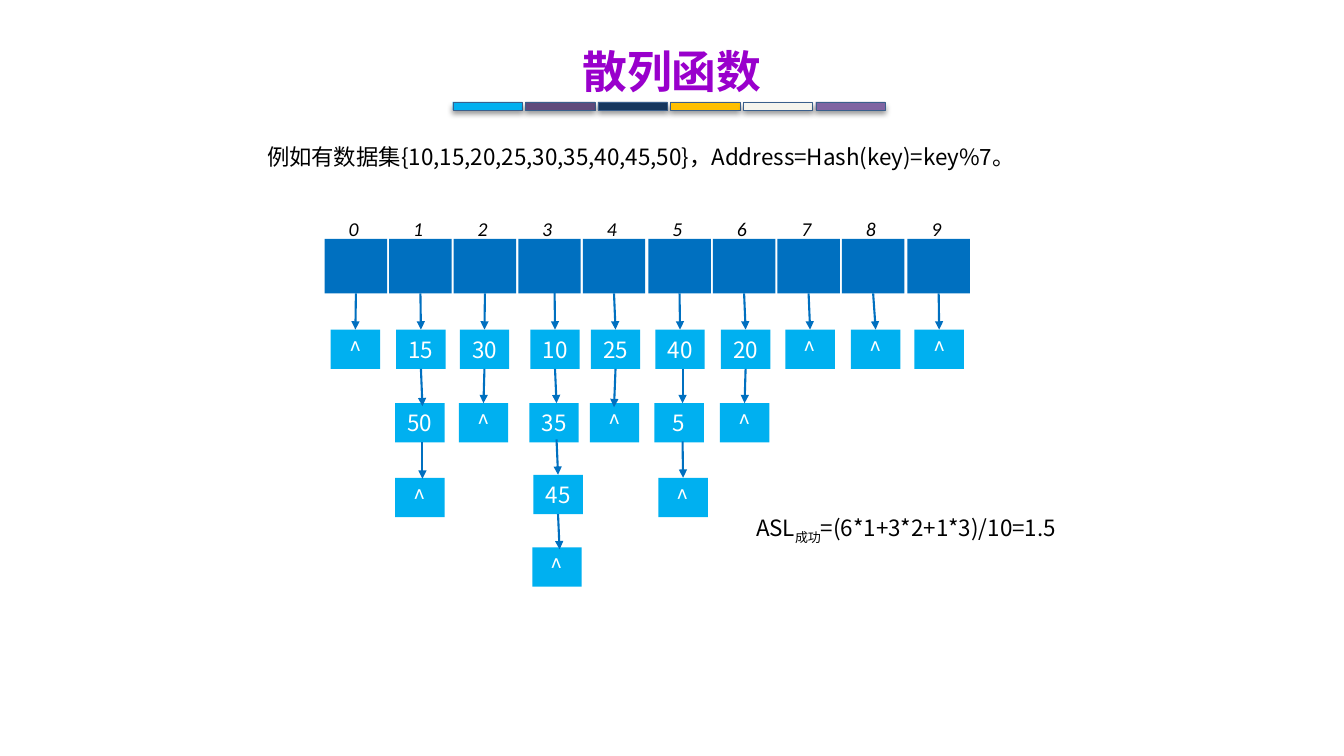
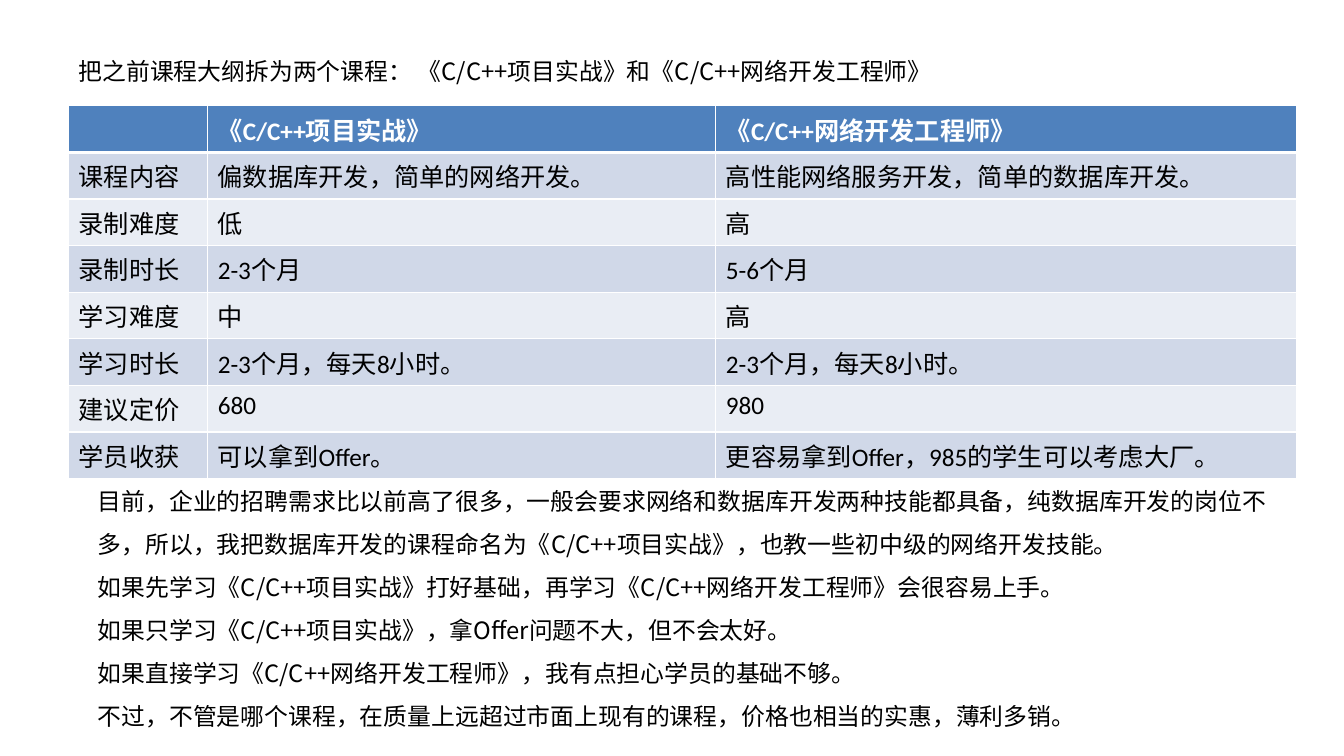
from dataclasses import dataclass
from typing import NamedTuple

from lxml import etree
from pptx import Presentation
from pptx.dml.color import RGBColor
from pptx.enum.shapes import MSO_CONNECTOR, MSO_SHAPE
from pptx.enum.text import MSO_ANCHOR, MSO_AUTO_SIZE, PP_ALIGN
from pptx.oxml.ns import qn
from pptx.shapes.autoshape import Shape
from pptx.slide import Slide
from pptx.table import _Cell
from pptx.text.text import TextFrame
from pptx.util import Emu, Pt

RECT = MSO_SHAPE.RECTANGLE
STRAIGHT = MSO_CONNECTOR.STRAIGHT
LEFT, CENTER = PP_ALIGN.LEFT, PP_ALIGN.CENTER
MIDDLE = MSO_ANCHOR.MIDDLE
GROW = MSO_AUTO_SIZE.SHAPE_TO_FIT_TEXT
TOP_SITE, BOTTOM_SITE = 0, 2
EMU_PER_PX = 9144  # 100 px to the inch


@dataclass(frozen=True)
class Theme:
    cjk: str = "Noto Sans CJK SC"
    latin: str = "Calibri"
    black: str = "000000"
    white: str = "FFFFFF"
    title: str = "9900CC"
    bucket: str = "0070C0"
    node: str = "00B0F0"
    bar_line: str = "3A5F8C"
    bars: tuple[str, ...] = ("00B0F0", "604A7B", "17375E", "FFC000", "F5F4ED", "8064A2")
    header: str = "4F81BD"
    bands: tuple[str, str] = ("D0D8E8", "E9EDF4")
    title_pt: int = 32
    table_pt: int = 18
    note_pt: int = 17
    body_pt: int = 16
    index_pt: int = 14


T = Theme()


class Box(NamedTuple):
    x: int
    y: int
    w: int
    h: int


class Style(NamedTuple):
    size: int
    color: str = T.black
    font: str = T.cjk
    bold: bool = False
    italic: bool = False


class Run(NamedTuple):
    text: str
    baseline: int = 0


class Node(NamedTuple):
    """A list entry and the arrow that leads down to it."""
    text: str
    x: int
    y: int
    arrow_x: int
    arrow_top: int
    arrow_end: int


TITLE = Style(T.title_pt, T.title, bold=True)
BODY = Style(T.body_pt)
NOTE = Style(T.note_pt)
INDEX = Style(T.index_pt, font=T.latin, italic=True)
NODE = Style(T.body_pt, T.white)
HEADER = Style(T.table_pt, T.white, T.latin, bold=True)
CELL = Style(T.table_pt, font=T.latin)

NODE_W, NODE_H = 49, 39
JOIN_REACH = 2  # an arrow this close to a side's middle is joined to it
CHAINS = (
    (Node("^", 328, 327, 353, 291, 327),),
    (Node("15", 393, 327, 417, 291, 327), Node("50", 392, 400, 419, 366, 403),
     Node("^", 392, 474, 419, 439, 475)),
    (Node("30", 456, 327, 481, 291, 327), Node("^", 455, 400, 481, 364, 400)),
    (Node("10", 526, 327, 550, 285, 327), Node("35", 525, 400, 552, 364, 400),
     Node("45", 529, 471, 552, 436, 472), Node("^", 528, 543, 555, 509, 545)),
    (Node("25", 586, 327, 610, 291, 327), Node("^", 585, 400, 609, 368, 404)),
    (Node("40", 650, 327, 674, 291, 327), Node("5", 649, 400, 677, 366, 400),
     Node("^", 653, 474, 677, 438, 474)),
    (Node("20", 715, 327, 739, 291, 327), Node("^", 714, 400, 740, 365, 401)),
    (Node("^", 779, 327, 803, 291, 327),),
    (Node("^", 844, 327, 868, 291, 327),),
    (Node("^", 907, 327, 931, 291, 327),),
)

COURSE_COLS = (138, 504, 576)
COURSES = (
    ("", "《C/C++项目实战》", "《C/C++网络开发工程师》"),
    ("课程内容", "偏数据库开发，简单的网络开发。", "高性能网络服务开发，简单的数据库开发。"),
    ("录制难度", "低", "高"),
    ("录制时长", "2-3个月", "5-6个月"),
    ("学习难度", "中", "高"),
    ("学习时长", "2-3个月，每天8小时。", "2-3个月，每天8小时。"),
    ("建议定价", "680", "980"),
    ("学员收获", "可以拿到Offer。", "更容易拿到Offer，985的学生可以考虑大厂。"),
)
ADVICE = (
    "目前，企业的招聘需求比以前高了很多，一般会要求网络和数据库开发两种技能都具备，"
    "纯数据库开发的岗位不多，所以，我把数据库开发的课程命名为《C/C++项目实战》，"
    "也教一些初中级的网络开发技能。",
    "如果先学习《C/C++项目实战》打好基础，再学习《C/C++网络开发工程师》会很容易上手。",
    "如果只学习《C/C++项目实战》，拿Offer问题不大，但不会太好。",
    "如果直接学习《C/C++网络开发工程师》，我有点担心学员的基础不够。",
    "不过，不管是哪个课程，在质量上远超过市面上现有的课程，价格也相当的实惠，薄利多销。",
)


def px(n: int) -> Emu:
    return Emu(n * EMU_PER_PX)


def rgb(color: str) -> RGBColor:
    return RGBColor.from_string(color)


def write(tf: TextFrame, paras: list[list[Run]], style: Style,
          align: PP_ALIGN = LEFT, spacing: float = 1.0) -> None:
    for i, runs in enumerate(paras):
        p = tf.add_paragraph() if i else tf.paragraphs[0]
        p.alignment, p.line_spacing = align, spacing
        for run in runs:
            r = p.add_run()
            r.text = run.text
            f = r.font
            f.name, f.size = style.font, Pt(style.size)
            f.bold, f.italic = style.bold, style.italic
            f.color.rgb = rgb(style.color)
            rpr = r._r.get_or_add_rPr()
            etree.SubElement(rpr, qn("a:ea"), typeface=T.cjk)
            if run.baseline:
                rpr.set("baseline", str(run.baseline * 1000))


def add_text(s: Slide, box: Box, paras: list[list[Run]], style: Style,
             align: PP_ALIGN = LEFT, spacing: float = 1.5, wrap: bool = True) -> None:
    tf = s.shapes.add_textbox(*map(px, box)).text_frame
    tf.word_wrap = wrap
    tf.auto_size = GROW
    write(tf, paras, style, align, spacing)


def add_rect(s: Slide, box: Box, fill: str) -> Shape:
    sp = s.shapes.add_shape(RECT, *map(px, box))
    sp.shadow.inherit = False
    sp.fill.solid()
    sp.fill.fore_color.rgb = rgb(fill)
    sp.line.fill.background()
    return sp


def add_bar(s: Slide, box: Box, fill: str) -> None:
    sp = add_rect(s, box, fill)
    sp.line.color.rgb = rgb(T.bar_line)
    sp.line.width = Pt(0.25)
    effects = sp._element.spPr.find(qn("a:effectLst"))
    shadow = etree.SubElement(effects, qn("a:outerShdw"), blurRad=str(Pt(4)),
                              dist=str(Pt(3)), dir="5400000", rotWithShape="0")
    color = etree.SubElement(shadow, qn("a:srgbClr"), val=T.black)
    etree.SubElement(color, qn("a:alpha"), val="40000")


def near_middle(sp: Shape, x: int, y: int, side_y: int) -> bool:
    reach = px(JOIN_REACH)
    return abs(sp.left + sp.width // 2 - px(x)) <= reach and abs(side_y - px(y)) <= reach


def add_arrow(s: Slide, node: Node, above: Shape, below: Shape) -> None:
    x, top, end = node.arrow_x, node.arrow_top, node.arrow_end
    c = s.shapes.add_connector(STRAIGHT, px(x), px(top), px(x), px(end))
    if near_middle(above, x, top, above.top + above.height):
        c.begin_connect(above, BOTTOM_SITE)
    if near_middle(below, x, end, below.top):
        c.end_connect(below, TOP_SITE)
    c.line.color.rgb = rgb(T.bucket)
    c.line.width = Pt(1.5)
    etree.SubElement(c.line._get_or_add_ln(), qn("a:tailEnd"), type="triangle")
    etree.SubElement(c._element.spPr, qn("a:effectLst"))


def style_cell(cell: _Cell, fill: str, bottom_pt: int) -> None:
    tcpr = cell._tc.get_or_add_tcPr()
    for side, width in (("L", 1), ("R", 1), ("T", 1), ("B", bottom_pt)):
        ln = etree.SubElement(tcpr, qn(f"a:ln{side}"), w=str(Pt(width)))
        solid = etree.SubElement(ln, qn("a:solidFill"))
        etree.SubElement(solid, qn("a:srgbClr"), val=T.white)
    cell.fill.solid()
    cell.fill.fore_color.rgb = rgb(fill)


def add_title(s: Slide, text: str) -> None:
    add_text(s, Box(0, 12, 1333, 91), [[Run(text)]], TITLE, CENTER)
    for i, color in enumerate(T.bars):
        add_bar(s, Box(449 + 72 * i, 101, 69, 8), color)


def hash_slide(s: Slide) -> None:
    add_title(s, "散列函数")
    add_text(s, Box(255, 124, 901, 50),
             [[Run("例如有数据集{10,15,20,25,30,35,40,45,50}，Address=Hash(key)=key%7。")]], BODY)

    # Buckets, each with its index and the list hanging below
    for i, chain in enumerate(CHAINS):
        x = 322 + 578 * i // 9
        above = add_rect(s, Box(x, 237, 62, 54), T.bucket)
        add_text(s, Box(x + 14, 210, 30, 34), [[Run(str(i))]], INDEX, spacing=1.0, wrap=False)
        for node in chain:
            below = add_rect(s, Box(node.x, node.y, NODE_W, NODE_H), T.node)
            below.text_frame.vertical_anchor = MIDDLE
            write(below.text_frame, [[Run(node.text)]], NODE, CENTER)
            add_arrow(s, node, above, below)
            above = below

    # Average search length
    add_text(s, Box(740, 490, 555, 50),
             [[Run("ASL"), Run("成功", -25), Run("=(6*1+3*2+1*3)/10=1.5")]], BODY)


def course_slide(s: Slide) -> None:
    # Comparison table
    table = s.shapes.add_table(len(COURSES), len(COURSE_COLS),
                               *map(px, Box(68, 105, sum(COURSE_COLS), 324))).table
    table.horz_banding = False
    for col, width in zip(table.columns, COURSE_COLS):
        col.width = px(width)
    for i, row in enumerate(COURSES):
        for j, text in enumerate(row):
            cell = table.cell(i, j)
            style_cell(cell, T.bands[(i - 1) % 2] if i else T.header, 1 if i else 3)
            if text:
                write(cell.text_frame, [[Run(text)]], CELL if i else HEADER)

    # Advice below and lead-in above the table
    add_text(s, Box(87, 464, 1198, 268), [[Run(line)] for line in ADVICE], NOTE)
    add_text(s, Box(68, 37, 1178, 48),
             [[Run("把之前课程大纲拆为两个课程： 《C/C++项目实战》和《C/C++网络开发工程师》")]], NOTE)


def main() -> None:
    prs = Presentation()
    prs.slide_width, prs.slide_height = px(1333), px(750)
    blank = prs.slide_layouts[6]
    for draw in (hash_slide, course_slide):
        draw(prs.slides.add_slide(blank))
    prs.save("out.pptx")


if __name__ == "__main__":
    main()
